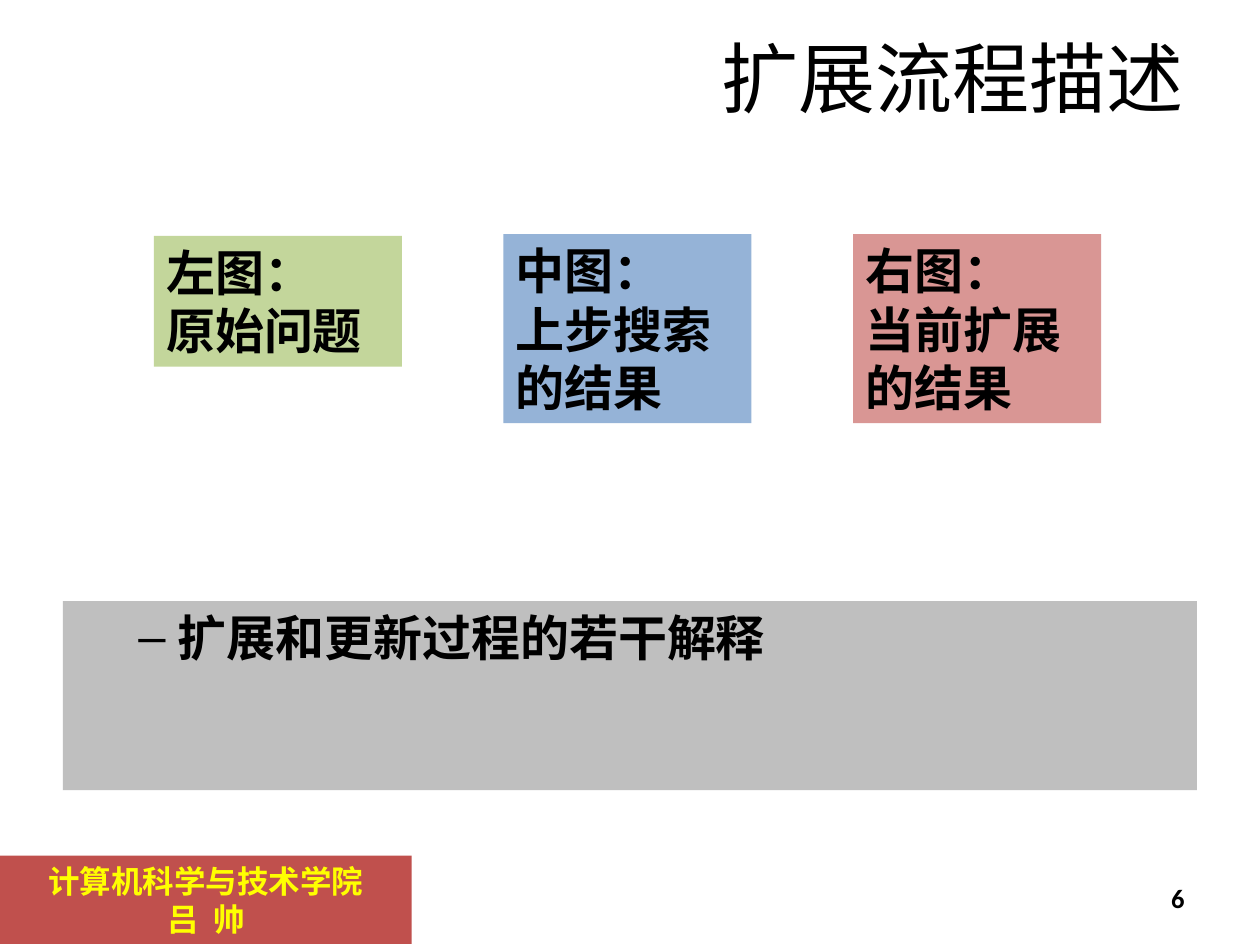
from lxml.etree import SubElement
from pptx import Presentation
from pptx.dml.color import RGBColor
from pptx.enum.shapes import MSO_SHAPE
from pptx.enum.text import MSO_ANCHOR as Anchor, MSO_AUTO_SIZE as AutoSize, PP_ALIGN as Align
from pptx.oxml.ns import qn
from pptx.util import Pt

TITLE = "扩展流程描述"
NOTE = "扩展和更新过程的若干解释"
FOOTER = ["计算机科学与技术学院", "吕  帅"]
PAGE_NUMBER = "6"
CARDS = [
    (["左图：\n原始问题"], "C3D69B", 134.8, 74.8),
    (["中图：", "上步搜索的结果"], "95B3D7", 133.8, 108),
    (["右图：", "当前扩展的结果"], "D99694", 133.8, 108),
]
CARD_LEFT, CARD_WIDTH, CARD_STEP = 87.9, 141.8, 199.8


def color(value):
    return RGBColor.from_string(value)


def write(box, lines, size, ink="000000", font="Arial", bold=True,
          align=Align.LEFT, anchor=Anchor.TOP, fit=AutoSize.NONE):
    frame = box.text_frame
    frame.word_wrap = True
    frame.auto_size = fit
    frame.vertical_anchor = anchor
    frame.margin_left = frame.margin_right = Pt(7.2)
    frame.margin_top = frame.margin_bottom = Pt(3.6)
    for index, line in enumerate(lines):
        para = frame.paragraphs[0] if index == 0 else frame.add_paragraph()
        para.text = line
        para.alignment = align
        para.font.size = Pt(size)
        para.font.name = font
        para.font.bold = bold
        para.font.color.rgb = color(ink)
    return frame.paragraphs[0]


def add_panel(page, left, top, width, height, fill):
    panel = page.shapes.add_shape(
        MSO_SHAPE.RECTANGLE, Pt(left), Pt(top), Pt(width), Pt(height))
    panel.shadow.inherit = False
    panel.fill.solid()
    panel.fill.fore_color.rgb = color(fill)
    panel.line.fill.background()
    return panel


def add_dash(para, margin, indent):
    props = para._p.get_or_add_pPr()
    props.set("marL", str(Pt(margin)))
    props.set("indent", str(Pt(indent)))
    bullet_color = SubElement(props, qn("a:buClr"))
    SubElement(bullet_color, qn("a:srgbClr"), val="000000")
    SubElement(props, qn("a:buFont"), typeface="Arial")
    SubElement(props, qn("a:buChar"), char="–")


def main():
    deck = Presentation()
    deck.slide_width, deck.slide_height = Pt(720), Pt(540)
    page = deck.slides.add_slide(deck.slide_layouts[5])

    title = page.shapes.title
    title.left, title.top, title.width, title.height = Pt(36), Pt(21.6), Pt(648), Pt(44)
    write(title, [TITLE], 44, font="Calibri", bold=False,
          align=Align.RIGHT, anchor=Anchor.MIDDLE)

    footer = add_panel(page, 0, 489, 235.3, 50.4, "C0504D")
    write(footer, FOOTER, 18, ink="FFFF00", align=Align.CENTER,
          fit=AutoSize.SHAPE_TO_FIT_TEXT)

    number = page.shapes.add_textbox(Pt(516), Pt(500.4), Pt(168), Pt(28.8))
    para = write(number, [PAGE_NUMBER], 15.2, font="Calibri",
                 align=Align.RIGHT, anchor=Anchor.MIDDLE)
    para.line_spacing = 0.8

    note = add_panel(page, 36, 343.5, 648, 108, "BFBFBF")
    add_dash(note.text_frame.paragraphs[0], 58.5, -22.5)
    write(note, [NOTE], 28, font="Calibri")

    for index, (lines, fill, top, height) in enumerate(CARDS):
        card = add_panel(page, CARD_LEFT + index * CARD_STEP, top,
                         CARD_WIDTH, height, fill)
        write(card, lines, 28, fit=AutoSize.SHAPE_TO_FIT_TEXT)

    deck.save("out.pptx")


if __name__ == "__main__":
    main()
